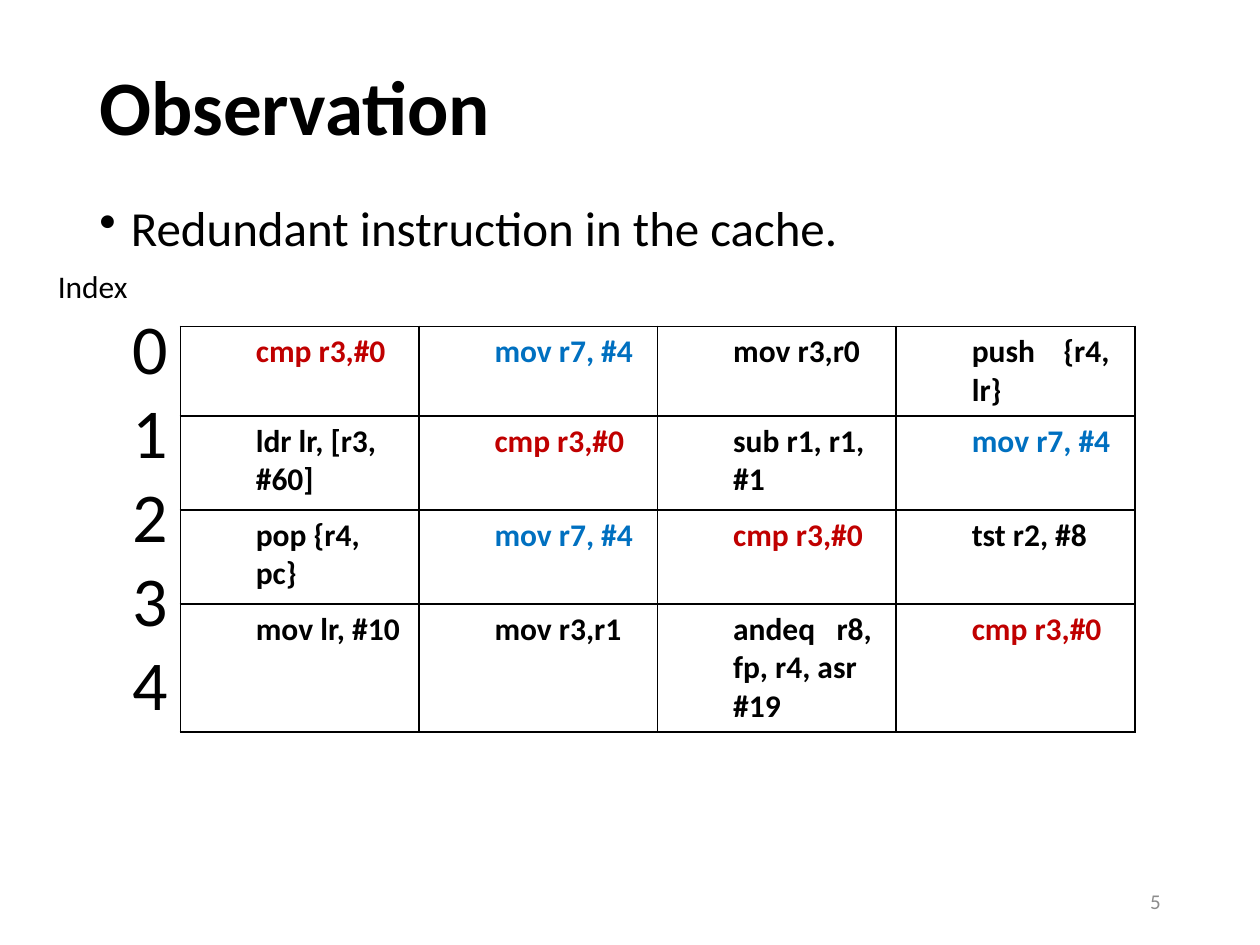
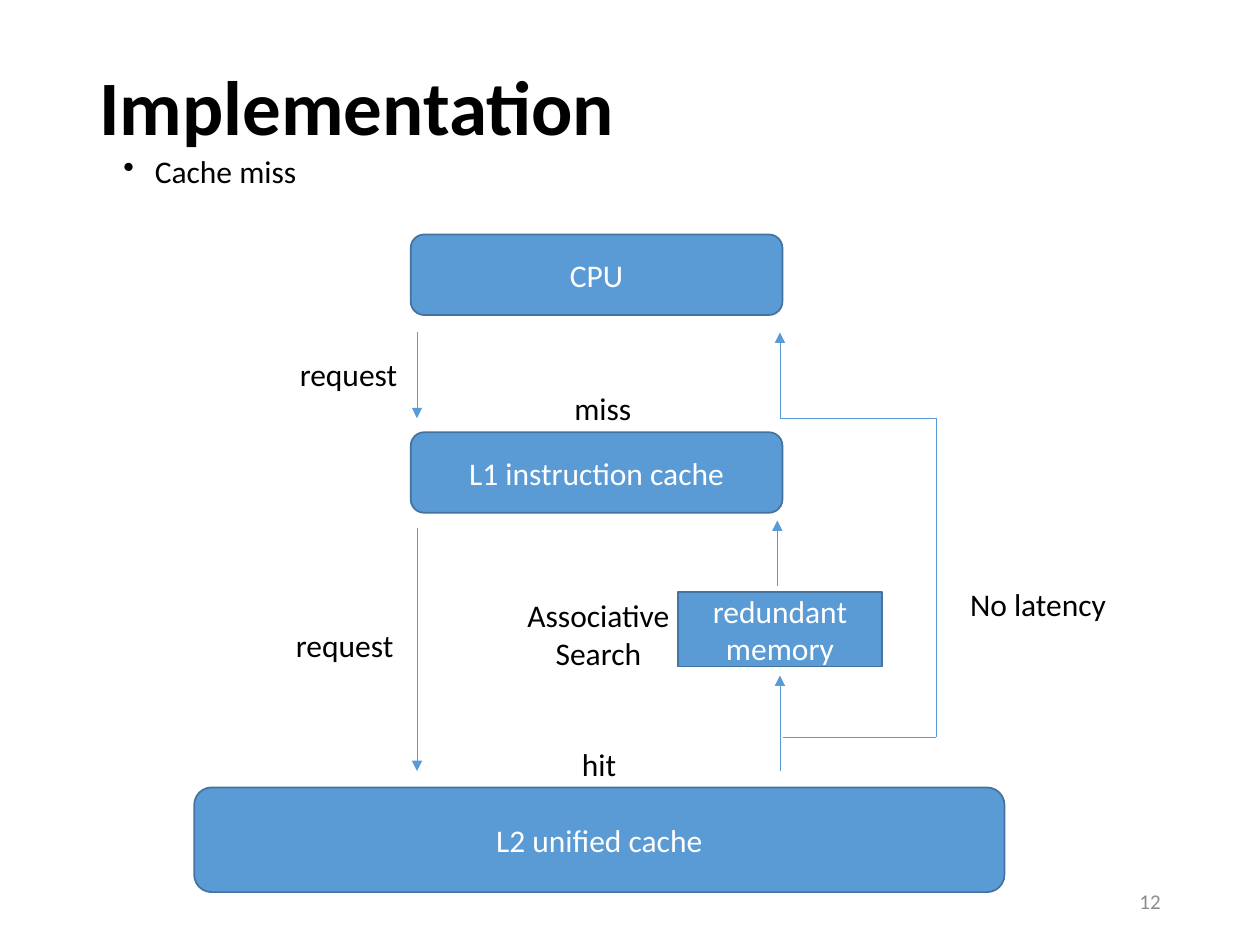
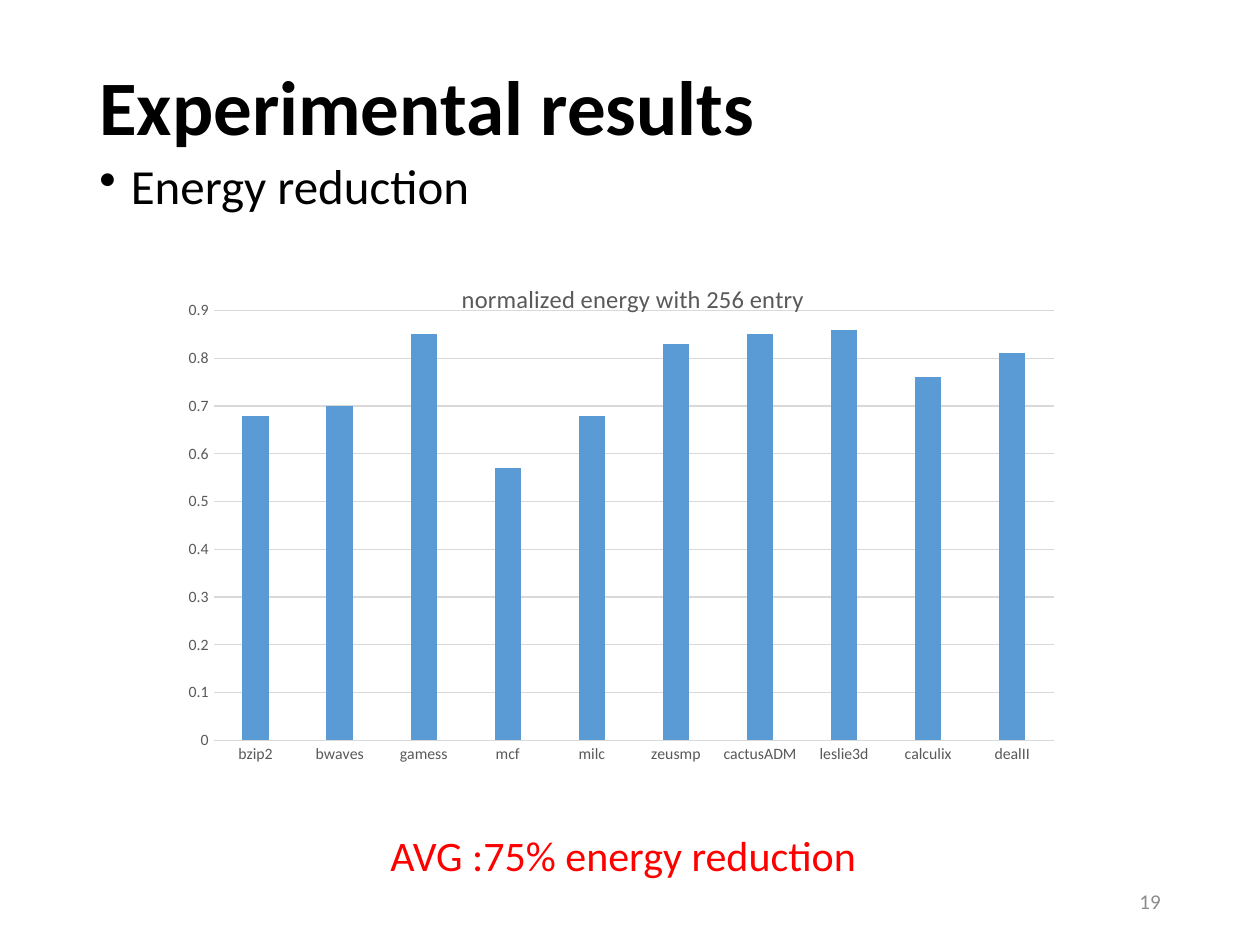
import dataclasses

import lxml.etree
import pptx
import pptx.chart.data
import pptx.dml.color
import pptx.enum.chart
import pptx.enum.shapes
import pptx.enum.text
import pptx.oxml.ns
import pptx.util

Pt = pptx.util.Pt
qn = pptx.oxml.ns.qn
ALIGN = pptx.enum.text.PP_ALIGN
ANCHOR = pptx.enum.text.MSO_ANCHOR
SHAPE = pptx.enum.shapes.MSO_SHAPE


@dataclasses.dataclass(frozen=True)
class Theme:
    font: str = "Calibri"
    black: str = "000000"
    white: str = "FFFFFF"
    blue: str = "5B9BD5"
    outline: str = "43739E"
    page_grey: str = "8C8C8C"
    chart_grey: str = "595959"
    grid_grey: str = "D9D9D9"
    code_red: str = "C00000"
    code_blue: str = "0070C0"
    highlight: str = "FF0000"
    title: int = 44
    index: int = 40
    body: int = 28
    callout: int = 24
    label: int = 18
    chart_title: int = 14
    page: int = 12
    axis: int = 9


THEME = Theme()

TITLE_BOX = (49.7, 28, 620.6, 70.6)
PAGE_BOX = (508.3, 500.4, 162, 28.8)

INSTRUCTIONS = [
    ["cmp r3,#0", "mov r7, #4", "mov r3,r0", "push    {r4, lr}"],
    ["ldr lr, [r3, #60]", "cmp r3,#0", "sub r1, r1, #1", "mov r7, #4"],
    ["pop {r4, pc}", "mov r7, #4", "cmp r3,#0", "tst r2, #8"],
    ["mov lr, #10", "mov r3,r1", "andeq   r8, fp, r4, asr #19", "cmp r3,#0"],
]
ROW_HEIGHTS = [51.2, 53.8, 53.8, 73.2]
REDUNDANT = {"cmp r3,#0": THEME.code_red, "mov r7, #4": THEME.code_blue}

ENERGY = {
    "bzip2": 0.68, "bwaves": 0.7, "gamess": 0.85, "mcf": 0.57, "milc": 0.68,
    "zeusmp": 0.83, "cactusADM": 0.85, "leslie3d": 0.86, "calculix": 0.76,
    "dealII": 0.81,
}


def rgb(color):
    return pptx.dml.color.RGBColor.from_string(color)


def pts(*values):
    return [Pt(v) for v in values]


def style_font(font, size, color, bold=False):
    font.name = THEME.font
    font.size = Pt(size)
    font.bold = bold
    font.color.rgb = rgb(color)


def style_text(tf, size, color=THEME.black, bold=False, align=ALIGN.LEFT):
    for p in tf.paragraphs:
        p.alignment = align
        for r in p.runs:
            style_font(r.font, size, color, bold)


def add_text(slide, box, text, size, wrap=True, anchor=ANCHOR.TOP, **style):
    tf = slide.shapes.add_textbox(*pts(*box)).text_frame
    tf.text = text
    tf.word_wrap = wrap
    tf.vertical_anchor = anchor
    style_text(tf, size, **style)
    return tf


def add_bullet(slide, box, text, size):
    p = add_text(slide, box, text, size).paragraphs[0]
    p.line_spacing = 0.9
    pPr = p._p.get_or_add_pPr()
    pPr.set("marL", str(Pt(18)))
    pPr.set("indent", str(Pt(-18)))
    lxml.etree.SubElement(pPr, qn("a:buChar"), char="•")


def add_slide(prs, title, page):
    """Add a blank slide with the shared title and page number."""
    slide = prs.slides.add_slide(prs.slide_layouts[6])
    tf = add_text(slide, TITLE_BOX, title, THEME.title, anchor=ANCHOR.MIDDLE, bold=True)
    tf.paragraphs[0].line_spacing = 0.9
    add_text(slide, PAGE_BOX, str(page), THEME.page, anchor=ANCHOR.MIDDLE,
             color=THEME.page_grey, align=ALIGN.RIGHT)
    return slide


def add_borders(cell):
    tcPr = cell._tc.get_or_add_tcPr()
    for side in ("lnL", "lnR", "lnT", "lnB"):
        ln = lxml.etree.SubElement(tcPr, qn(f"a:{side}"), w=str(Pt(1)))
        fill = lxml.etree.SubElement(ln, qn("a:solidFill"))
        lxml.etree.SubElement(fill, qn("a:srgbClr"), val=THEME.black)


def add_instruction_table(slide, box):
    x, y, w, h = box
    table = slide.shapes.add_table(
        len(INSTRUCTIONS), len(INSTRUCTIONS[0]), *pts(x, y, w, h)).table
    table.first_row = table.horz_banding = False
    for column in table.columns:
        column.width = Pt(w / len(table.columns))
    for row, height, codes in zip(table.rows, ROW_HEIGHTS, INSTRUCTIONS):
        row.height = Pt(height)
        for cell, code in zip(row.cells, codes):
            add_borders(cell)
            cell.fill.background()
            cell.text_frame.text = code
            style_text(cell.text_frame, THEME.label,
                       REDUNDANT.get(code, THEME.black), bold=True)
            pPr = cell.text_frame.paragraphs[0]._p.get_or_add_pPr()
            pPr.set("marL", str(Pt(36)))
            pPr.set("indent", "0")


def add_index_column(slide, box):
    tf = add_text(slide, box, "\n".join(["Index", *map(str, range(5))]),
                  THEME.index, align=ALIGN.RIGHT)
    heading = tf.paragraphs[0]
    heading.alignment = ALIGN.CENTER
    heading.runs[0].font.size = Pt(THEME.label)


def add_block(slide, box, text, kind=SHAPE.ROUNDED_RECTANGLE):
    sp = slide.shapes.add_shape(kind, *pts(*box))
    sp.shadow.inherit = False
    sp.fill.solid()
    sp.fill.fore_color.rgb = rgb(THEME.blue)
    sp.line.color.rgb = rgb(THEME.outline)
    sp.line.width = Pt(1)
    tf = sp.text_frame
    tf.text = text
    tf.word_wrap = True
    tf.vertical_anchor = ANCHOR.MIDDLE
    style_text(tf, THEME.label, THEME.white, align=ALIGN.CENTER)


def add_line(slide, x1, y1, x2, y2, arrow=False):
    line = slide.shapes.add_connector(
        pptx.enum.shapes.MSO_CONNECTOR.STRAIGHT, *pts(x1, y1, x2, y2))
    line.line.color.rgb = rgb(THEME.blue)
    line.line.width = Pt(0.5)
    if arrow:
        lxml.etree.SubElement(line.line._get_or_add_ln(), qn("a:tailEnd"), type="triangle")
    lxml.etree.SubElement(line._element.spPr, qn("a:effectLst"))


def add_cache_diagram(slide, box):
    """Draw the CPU, both cache levels and the paths of a cache miss."""
    left, top, width, height = box
    l1_top, l2_height = 113, 59.8
    l2_top = height - l2_height
    request_x, reply_x, bypass_x = 127.3, 334.7, 424
    cpu_gap, l1_gap, bypass_y = 56, 105, 287.2

    blocks = [
        ("CPU", (123.7, 0, 212.4, 46), SHAPE.ROUNDED_RECTANGLE),
        ("L1 instruction cache", (123.7, l1_top, 212.4, 46), SHAPE.ROUNDED_RECTANGLE),
        ("L2 unified cache", (0, l2_top, 463, l2_height), SHAPE.ROUNDED_RECTANGLE),
        ("redundant memory", (276.4, 204.4, 116.6, 42.5), SHAPE.RECTANGLE),
    ]
    for text, (x, y, w, h), kind in blocks:
        add_block(slide, (left + x, top + y, w, h), text, kind)

    arrows = [
        (request_x, cpu_gap, request_x, l1_gap),
        (request_x, 167.7, request_x, 306.6),
        (reply_x, 306.6, reply_x, 252),
        (reply_x - 1.5, 200.8, reply_x - 1.5, 163.4),
        (reply_x, l1_gap, reply_x, cpu_gap),
    ]
    bypass = [
        (bypass_x, bypass_y, reply_x + 1.5, bypass_y),
        (bypass_x, bypass_y, bypass_x, l1_gap),
        (reply_x, l1_gap, bypass_x, l1_gap),
    ]
    for lines, arrow in ((arrows, True), (bypass, False)):
        for x1, y1, x2, y2 in lines:
            add_line(slide, left + x1, top + y1, left + x2, top + y2, arrow)

    labels = [
        ("request", 53.2, 65.4, 70.6, 28.8),
        ("request", 51, 220.2, 70.6, 28.8),
        ("miss", 210.1, 84.9, 51, 28.8),
        ("hit", 214.4, 288, 34.6, 28.8),
        ("No latency", 436.2, 196.5, 92.9, 28.8),
        ("Associative\nSearch", 180.6, 203, 100.8, 51),
    ]
    for text, x, y, w, h in labels:
        align = ALIGN.CENTER if "\n" in text else ALIGN.LEFT
        add_text(slide, (left + x, top + y, w, h), text, THEME.label,
                 wrap=False, align=align)


def set_layout(element, index, **values):
    """Give a chart part a manual layout, as fractions of the chart."""
    for old in element.findall(qn("c:layout")):
        element.remove(old)
    layout = element.makeelement(qn("c:layout"))
    element.insert(index, layout)
    manual = lxml.etree.SubElement(layout, qn("c:manualLayout"))
    for tag, value in values.items():
        lxml.etree.SubElement(manual, qn(f"c:{tag}"), val=str(value))


def add_energy_chart(slide, box):
    data = pptx.chart.data.CategoryChartData()
    data.categories = list(ENERGY)
    data.add_series("Series 1", list(ENERGY.values()))
    chart = slide.shapes.add_chart(
        pptx.enum.chart.XL_CHART_TYPE.COLUMN_CLUSTERED, *pts(*box), data).chart
    style_font(chart.font, THEME.axis, THEME.chart_grey)
    chart.has_legend = False
    chart.has_title = True
    title = chart.chart_title
    title.text_frame.text = "normalized energy with 256 entry"
    style_text(title.text_frame, THEME.chart_title, THEME.chart_grey, align=ALIGN.CENTER)
    set_layout(title._element, 1, xMode="edge", yMode="edge", x=0.31, y=0.04)
    set_layout(chart._chartSpace.chart.plotArea, 0, layoutTarget="inner",
               xMode="edge", yMode="edge", x=0.041, y=0.102, w=0.928, h=0.803)

    plot = chart.plots[0]
    plot.vary_by_categories = False
    plot.gap_width = 219
    plot.overlap = -27
    fill = plot.series[0].format.fill
    fill.solid()
    fill.fore_color.rgb = rgb(THEME.blue)

    value_axis, category_axis = chart.value_axis, chart.category_axis
    for axis in (value_axis, category_axis):
        axis.major_tick_mark = axis.minor_tick_mark = pptx.enum.chart.XL_TICK_MARK.NONE
        style_font(axis.tick_labels.font, THEME.axis, THEME.chart_grey)
    value_axis.minimum_scale = 0
    value_axis.maximum_scale = 0.9
    value_axis.major_unit = 0.1
    value_axis.format.line.fill.background()
    for line in (value_axis.major_gridlines.format.line, category_axis.format.line):
        line.color.rgb = rgb(THEME.grid_grey)
        line.width = Pt(0.75)


def build_observation(prs):
    slide = add_slide(prs, "Observation", 5)
    add_bullet(slide, (49.7, 113, 620.6, 377), "Redundant instruction in the cache.", THEME.body)
    add_instruction_table(slide, (103, 186.5, 545.6, sum(ROW_HEIGHTS)))
    add_index_column(slide, (3, 149, 100, 271.4))


def build_implementation(prs):
    slide = add_slide(prs, "Implementation", 12)
    add_bullet(slide, (63.4, 85.7, 656, 377), "Cache miss", THEME.label)
    add_cache_diagram(slide, (111, 134, 529, 375.8))


def build_results(prs):
    slide = add_slide(prs, "Experimental results", 19)
    add_bullet(slide, (49.7, 89.3, 620.6, 440), "Energy reduction", THEME.body)
    add_energy_chart(slide, (100.8, 146.2, 517.7, 306))
    add_text(slide, (216, 470.2, 288.7, 36), "AVG :75% energy reduction",
             THEME.callout, wrap=False, color=THEME.highlight)


def main():
    prs = pptx.Presentation()
    prs.slide_width, prs.slide_height = pts(720, 540)
    build_observation(prs)
    build_implementation(prs)
    build_results(prs)
    prs.save("out.pptx")


if __name__ == "__main__":
    main()
